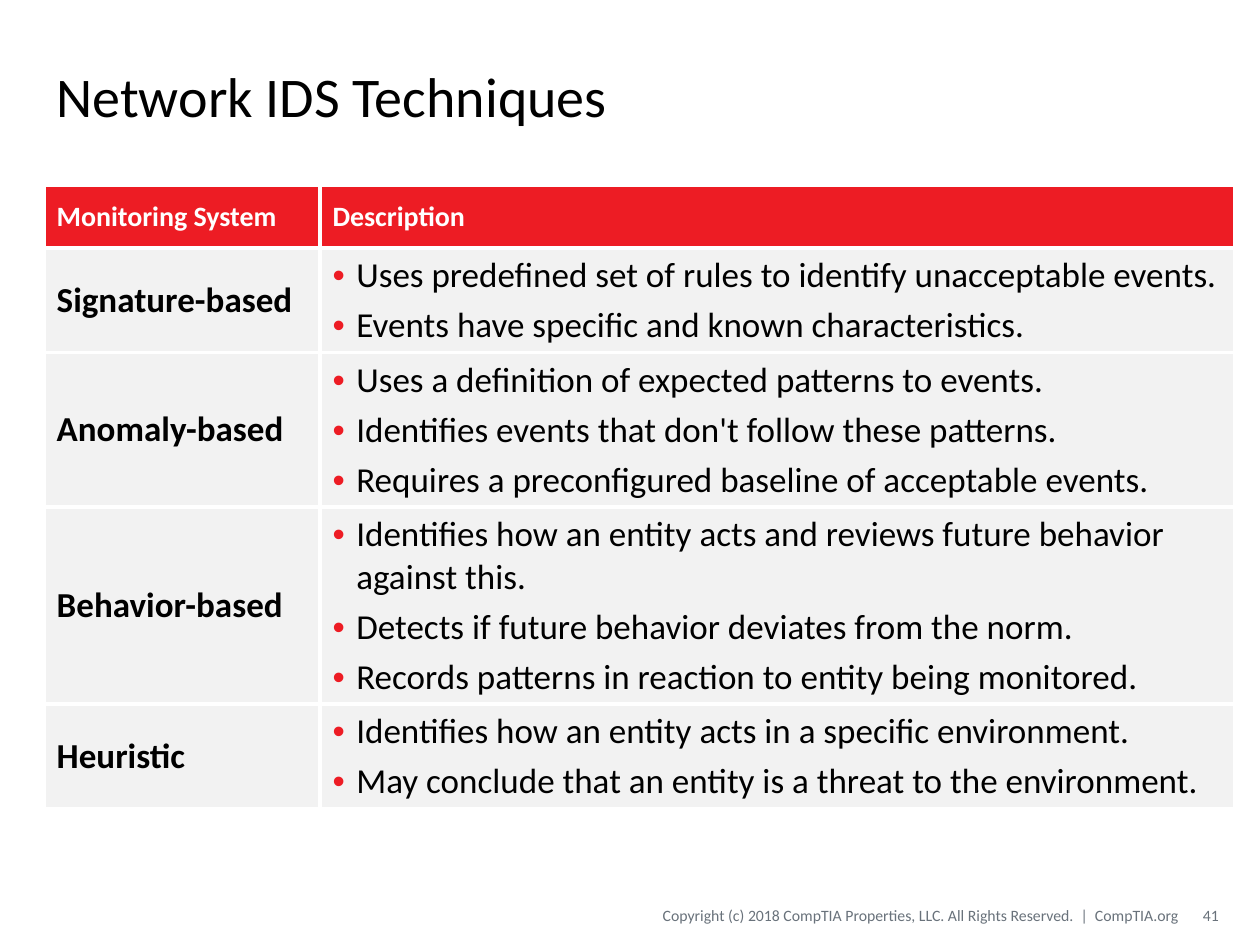
from dataclasses import dataclass

import pptx
import pptx.dml.color
import pptx.enum.text
import pptx.oxml
import pptx.oxml.ns
import pptx.util
from pptx.util import Cm

RGB = pptx.dml.color.RGBColor.from_string
ALIGN = pptx.enum.text.PP_ALIGN
MIDDLE = pptx.enum.text.MSO_ANCHOR.MIDDLE


@dataclass(frozen=True)
class Theme:
    font: str = "Calibri"
    text: str = "000000"
    white: str = "FFFFFF"
    accent: str = "ED1C24"
    band: str = "F2F2F2"
    muted: str = "69727B"
    title_size: int = 32
    header_size: int = 16
    body_size: int = 20
    footer_size: int = 9
    border_width: float = 2.25
    paragraph_gap: int = 4


@dataclass(frozen=True)
class Label:
    text: str
    left: float
    top: float
    width: float
    height: float
    size: int
    color: str
    align: ALIGN = ALIGN.LEFT
    left_inset: float = 0.25
    right_inset: float = 0.25


@dataclass(frozen=True)
class Technique:
    name: str
    points: tuple[str, ...]
    lines: int

    @property
    def height(self) -> float:
        """Row height in cm: cell margins, text lines and paragraph gaps."""
        return 0.25 + 0.86 * self.lines + 0.14 * (len(self.points) - 1)


THEME = Theme()
HEADER_HEIGHT = 1.27
COLUMN_WIDTHS = (5.56, 18.44)
INDENT = Cm(0.48)

LABELS = (
    Label("Copyright (c) 2018 CompTIA Properties, LLC. All Rights Reserved.  |  CompTIA.org",
          9.86, 18.08, 13.89, 0.76, THEME.footer_size, THEME.muted, ALIGN.RIGHT, 0, 0),
    Label("Network IDS Techniques",
          0.89, 0.74, 23.5, 2.34, THEME.title_size, THEME.text),
    Label("41", 23.83, 18.08, 0.74, 0.76, THEME.footer_size, THEME.muted,
          ALIGN.RIGHT, 0.25, 0),
)

HEADERS = ("Monitoring System", "Description")
TECHNIQUES = (
    Technique("Signature-based", (
        "Uses predefined set of rules to identify unacceptable events.",
        "Events have specific and known characteristics."), 2),
    Technique("Anomaly-based", (
        "Uses a definition of expected patterns to events.",
        "Identifies events that don't follow these patterns.",
        "Requires a preconfigured baseline of acceptable events."), 3),
    Technique("Behavior-based", (
        "Identifies how an entity acts and reviews future behavior against this.",
        "Detects if future behavior deviates from the norm.",
        "Records patterns in reaction to entity being monitored."), 4),
    Technique("Heuristic", (
        "Identifies how an entity acts in a specific environment.",
        "May conclude that an entity is a threat to the environment."), 2),
)


def format_runs(p, size: int, color: str, bold: bool = False) -> None:
    for r in p.runs:
        r.font.name = THEME.font
        r.font.size = pptx.util.Pt(size)
        r.font.bold = bold
        r.font.color.rgb = RGB(color)


def add_label(s, label: Label) -> None:
    sp = s.shapes.add_textbox(Cm(label.left), Cm(label.top), Cm(label.width), Cm(label.height))
    tf = sp.text_frame
    tf.word_wrap = True
    tf.vertical_anchor = MIDDLE
    tf.margin_left, tf.margin_right = Cm(label.left_inset), Cm(label.right_inset)
    tf.text = label.text
    p = tf.paragraphs[0]
    p.alignment = label.align
    format_runs(p, label.size, label.color)


def add_bullet(p) -> None:
    pPr = p._p.get_or_add_pPr()
    pPr.set("marL", str(INDENT))
    pPr.set("indent", str(-INDENT))
    ns = pptx.oxml.ns.nsdecls("a")
    for xml in (f'<a:buClr {ns}><a:srgbClr val="{THEME.accent}"/></a:buClr>',
                f'<a:buFont {ns} typeface="Arial"/>',
                f'<a:buChar {ns} char="•"/>'):
        pPr.append(pptx.oxml.parse_xml(xml))


def add_borders(cell) -> None:
    tcPr = cell._tc.get_or_add_tcPr()
    width = pptx.util.Pt(THEME.border_width)
    for side in ("lnL", "lnR", "lnT", "lnB"):
        tcPr.append(pptx.oxml.parse_xml(
            f'<a:{side} {pptx.oxml.ns.nsdecls("a")} w="{width}"><a:solidFill>'
            f'<a:srgbClr val="{THEME.white}"/></a:solidFill></a:{side}>'))


def fill_cell(cell, lines: tuple[str, ...], fill: str, size: int, color: str,
              bold: bool = False, bulleted: bool = False) -> None:
    add_borders(cell)
    cell.fill.solid()
    cell.fill.fore_color.rgb = RGB(fill)
    cell.vertical_anchor = MIDDLE
    tf = cell.text_frame
    tf.text = "\n".join(lines)
    for i, p in enumerate(tf.paragraphs):
        if bulleted:
            add_bullet(p)
        if i:
            p.space_before = pptx.util.Pt(THEME.paragraph_gap)
        format_runs(p, size, color, bold)


def add_techniques_table(s) -> None:
    heights = [HEADER_HEIGHT] + [t.height for t in TECHNIQUES]
    table = s.shapes.add_table(len(heights), len(HEADERS), Cm(0.89), Cm(3.73),
                               Cm(sum(COLUMN_WIDTHS)), Cm(sum(heights))).table
    for column, width in zip(table.columns, COLUMN_WIDTHS):
        column.width = Cm(width)
    for row, height in zip(table.rows, heights):
        row.height = Cm(height)
    for col, header in enumerate(HEADERS):
        fill_cell(table.cell(0, col), (header,), THEME.accent,
                  THEME.header_size, THEME.white, bold=True)
    for row, technique in enumerate(TECHNIQUES, start=1):
        fill_cell(table.cell(row, 0), (technique.name,), THEME.band,
                  THEME.body_size, THEME.text, bold=True)
        fill_cell(table.cell(row, 1), technique.points, THEME.band,
                  THEME.body_size, THEME.text, bulleted=True)


def main() -> None:
    prs = pptx.Presentation()
    prs.slide_width, prs.slide_height = Cm(25.4), Cm(19.05)
    s = prs.slides.add_slide(prs.slide_layouts[6])
    for label in LABELS:
        add_label(s, label)
    add_techniques_table(s)
    prs.save("out.pptx")


if __name__ == "__main__":
    main()
